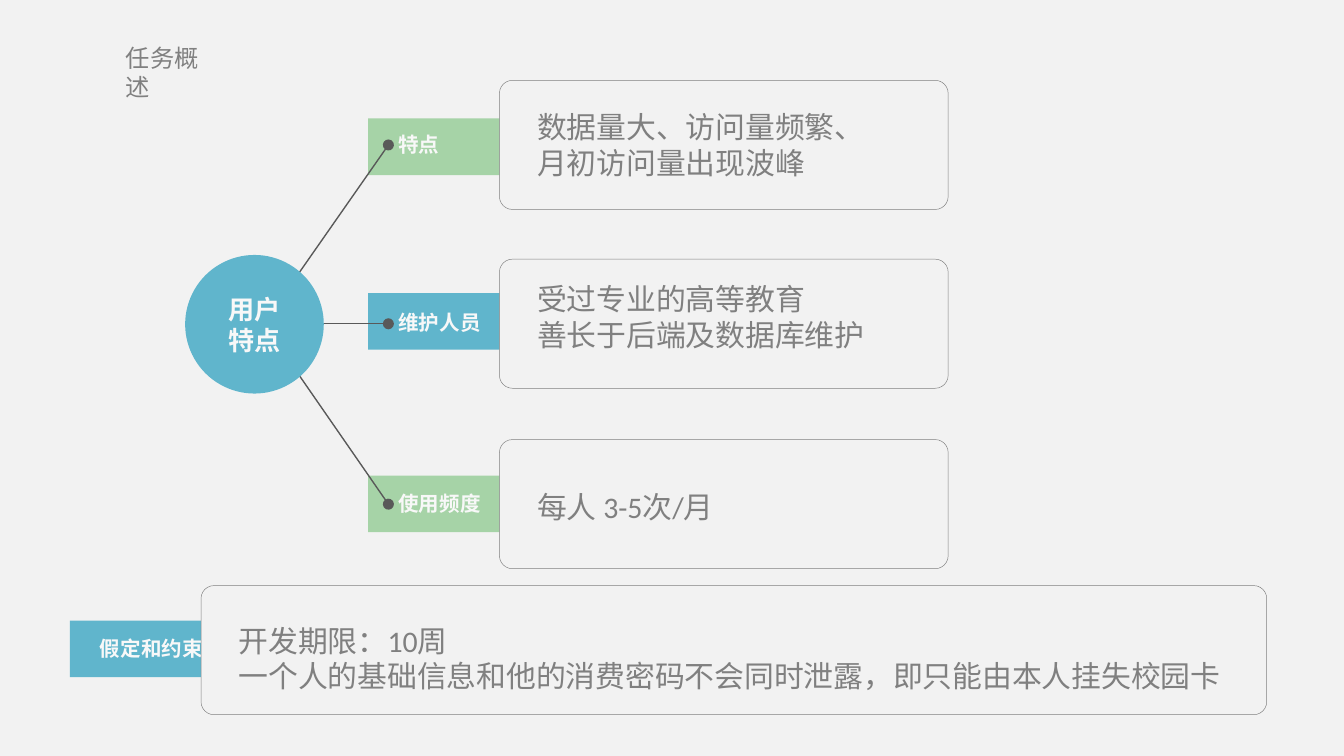
from lxml import etree
from pptx import Presentation
from pptx.dml.color import RGBColor
from pptx.enum.shapes import MSO_CONNECTOR, MSO_SHAPE
from pptx.enum.text import MSO_ANCHOR, MSO_AUTO_SIZE, PP_ALIGN
from pptx.oxml.ns import qn
from pptx.util import Cm, Pt

PLATE, ROUND, OVAL = MSO_SHAPE.PENTAGON, MSO_SHAPE.ROUNDED_RECTANGLE, MSO_SHAPE.OVAL
STRAIGHT = MSO_CONNECTOR.STRAIGHT
LEFT, CENTER = PP_ALIGN.LEFT, PP_ALIGN.CENTER
TOP, MIDDLE = MSO_ANCHOR.TOP, MSO_ANCHOR.MIDDLE
CJK = "Noto Sans CJK SC"
GREEN, BLUE, PAPER = "A6D3A7", "60B5CC", "F2F2F2"
WHITE, GREY, DARK, EDGE = "F8F8F8", "808080", "595959", "7F7F7F"

# Tag left, box width, body width and height, tops of tag, label, box and body, colour, texts
ITEMS = [
    (6.96, 8.48, 7.39, 1.32, 2.24, 2.39, 1.52, 2.08, GREEN, "特点",
     "数据量大、访问量频繁、\n月初访问量出现波峰"),
    (6.96, 8.48, 7.39, 1.32, 5.54, 5.74, 4.9, 5.33, BLUE, "维护人员",
     "受过专业的高等教育\n善长于后端及数据库维护"),
    (6.96, 8.48, 7.39, 1.32, 8.99, 9.17, 8.31, 8.92, GREEN, "使用频度",
     "每人 3-5次/月"),
    (1.32, 20.14, 19.35, 1.52, 11.73, 11.91, 11.07, 11.68, BLUE, "假定和约束",
     "开发期限：10周\n一个人的基础信息和他的消费密码不会同时泄露，即只能由本人挂失校园卡"),
]
HUB = (4.98, 6.12)
SPOKE_X, SPOKE_YS = 7.34, (2.74, 6.12, 9.53)


def color(hex_text):
    return RGBColor.from_string(hex_text)


def write(sp, text, size=16, fg=GREY, font="Calibri", bold=False, align=LEFT,
          anchor=MIDDLE, wrap=True, insets=(0.18, 0.08)):
    tf = sp.text_frame
    tf.word_wrap = wrap
    tf.auto_size = MSO_AUTO_SIZE.NONE
    tf.vertical_anchor = anchor
    tf.margin_left = tf.margin_right = Cm(insets[0])
    tf.margin_top = tf.margin_bottom = Cm(insets[1])
    tf.text = text
    for p in tf.paragraphs:
        p.alignment = align
        for r in p.runs:
            r.font.size, r.font.bold, r.font.name = Pt(size), bold, font
            r.font.color.rgb = color(fg)
            etree.SubElement(r.font._element, qn("a:ea"), typeface=CJK)


def add_shape(slide, kind, x, y, w, h, fill, line=None, adj=None):
    sp = slide.shapes.add_shape(kind, Cm(x), Cm(y), Cm(w), Cm(h))
    sp.shadow.inherit = False
    sp.fill.solid()
    sp.fill.fore_color.rgb = color(fill)
    if line:
        sp.line.color.rgb = color(line)
        sp.line.width = Pt(0.25)
    else:
        sp.line.fill.background()
    if adj:
        sp.adjustments[0] = adj
    return sp


def add_text(slide, x, y, w, h, text, **fmt):
    sp = slide.shapes.add_textbox(Cm(x), Cm(y), Cm(w), Cm(h))
    write(sp, text, **fmt)


def add_spoke(slide, x, y):
    sp = slide.shapes.add_connector(STRAIGHT, *map(Cm, (*HUB, x, y)))
    sp.line.color.rgb = color(DARK)
    sp.line.width = Pt(0.75)
    ln = sp.line._get_or_add_ln()
    for end in ("a:headEnd", "a:tailEnd"):
        etree.SubElement(ln, qn(end), type="oval")
    etree.SubElement(sp._element.spPr, qn("a:effectLst"))


def add_title(slide, text):
    sp = slide.shapes.title
    sp.left, sp.top, sp.width, sp.height = Cm(2.18), Cm(0.71), Cm(2.21), Cm(0.74)
    write(sp, text, size=13, font=CJK, anchor=TOP, wrap=False, insets=(0.2, 0.1))


def main():
    prs = Presentation()
    prs.slide_width, prs.slide_height = Cm(25.4), Cm(14.29)
    slide = prs.slides.add_slide(prs.slide_layouts[5])
    slide.background.fill.solid()
    slide.background.fill.fore_color.rgb = color(PAPER)
    add_title(slide, "任务概述")

    # Tags
    for x, _, _, _, tag_y, label_y, _, _, fill, label, _ in ITEMS:
        add_shape(slide, PLATE, x, tag_y, 3.51, 1.07, fill, adj=0.5)
        add_text(slide, x + 0.39, label_y, 2.92, 0.69, label,
                 size=11, fg=WHITE, bold=True)

    # Hub and spokes
    for y in SPOKE_YS:
        add_spoke(slide, SPOKE_X, y)
    hub = add_shape(slide, OVAL, 3.5, 4.82, 2.62, 2.62, BLUE)
    write(hub, "用户\n特点", size=14, fg=WHITE, bold=True, align=CENTER)

    # Description boxes
    for x, box_w, body_w, body_h, _, _, box_y, body_y, _, _, body in ITEMS:
        add_shape(slide, ROUND, x + 2.48, box_y, box_w, 2.44, PAPER, EDGE, adj=0.1)
        add_text(slide, x + 3.01, body_y, body_w, body_h, body)

    prs.save("out.pptx")


main()
